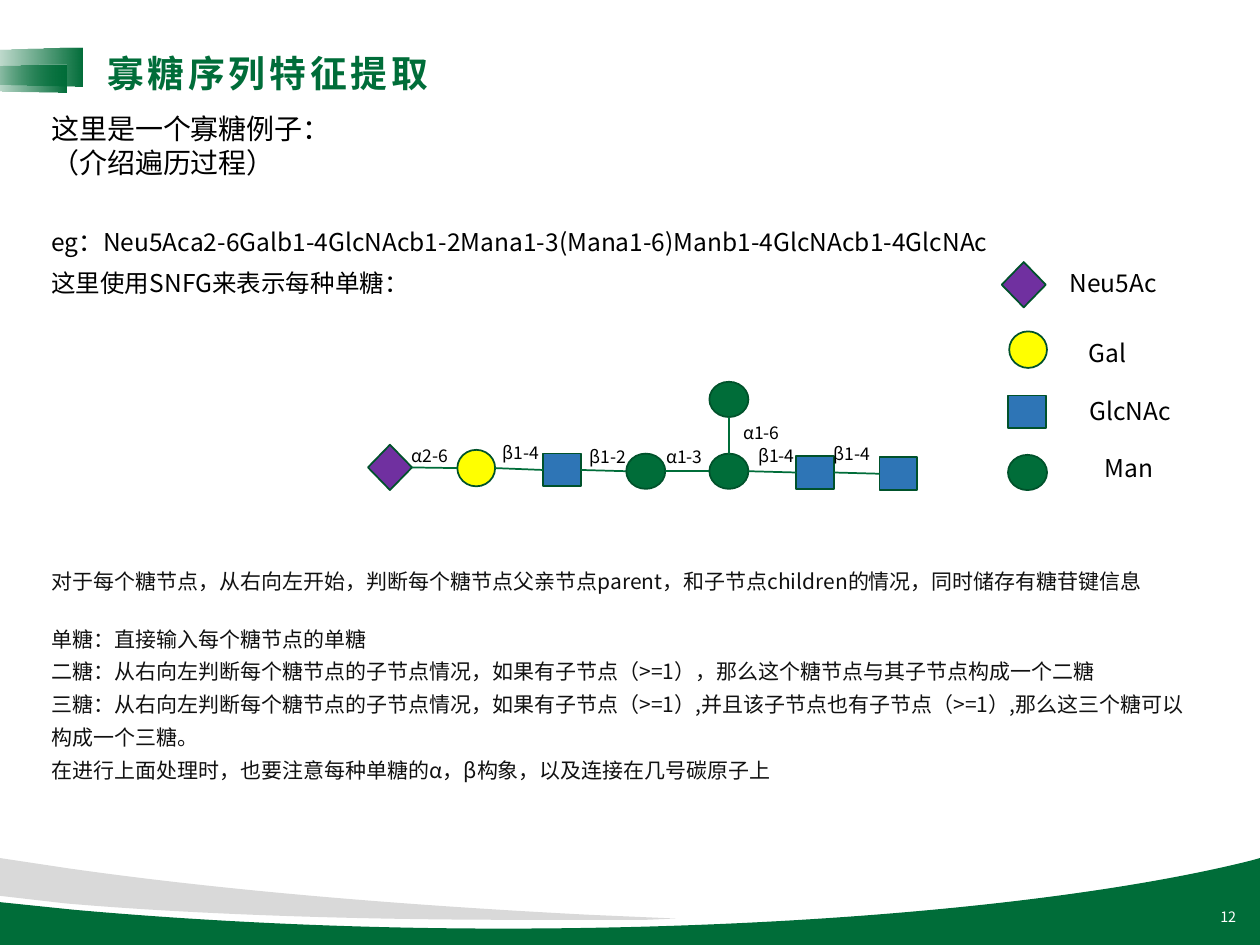
import lxml.etree
import pptx
import pptx.dml.color
import pptx.enum.shapes
import pptx.enum.text
import pptx.oxml.ns
import pptx.util

Inches = pptx.util.Inches
SHAPE = pptx.enum.shapes.MSO_SHAPE
ANCHOR = pptx.enum.text.MSO_ANCHOR
ALIGN = pptx.enum.text.PP_ALIGN
AUTO_SIZE = pptx.enum.text.MSO_AUTO_SIZE

FONT = "Noto Sans CJK SC"
GREEN = "006D39"
OUTLINE = "00522B"

# preset, width, height, fill
SUGARS = {
    "Neu5Ac": (SHAPE.DIAMOND, 0.35, 0.36, "7030A0"),
    "Gal": (SHAPE.OVAL, 0.3, 0.29, "FFFF00"),
    "GlcNAc": (SHAPE.RECTANGLE, 0.3, 0.26, "2E75B6"),
    "Man": (SHAPE.OVAL, 0.31, 0.28, GREEN),
}
CHAIN = [
    ("Neu5Ac", 2.92, 3.53), ("Gal", 3.63, 3.57), ("GlcNAc", 4.31, 3.6),
    ("Man", 4.97, 3.6), ("Man", 5.63, 3.6), ("GlcNAc", 6.32, 3.62),
    ("GlcNAc", 6.98, 3.63),
]
BRANCH = ("Man", 5.63, 3.03)
BONDS = [
    ("α2-6", 3.17, 3.48), ("β1-4", 3.89, 3.46), ("β1-2", 4.58, 3.49),
    ("α1-3", 5.19, 3.49), ("α1-6", 5.8, 3.3), ("β1-4", 5.92, 3.48),
    ("β1-4", 6.52, 3.47),
]
# sugar, symbol left and top, name left, top and width
LEGEND = [
    ("Neu5Ac", 7.95, 2.08, 8.39, 2.08, 1.16),
    ("Gal", 8.01, 2.63, 8.54, 2.63, 0.68),
    ("GlcNAc", 8, 3.14, 8.55, 3.09, 1.07),
    ("Man", 8, 3.61, 8.67, 3.55, 0.6),
]
INTRO = [
    (["这里是一个寡糖例子：", "（介绍遍历过程）"], 0.84, 7.71, 0.64, 16),
    (["eg：Neu5Aca2-6Galb1-4GlcNAcb1-2Mana1-3(Mana1-6)Manb1-4GlcNAcb1-4GlcNAc"],
     1.75, 8.57, 0.34, 14),
    (["这里使用SNFG来表示每种单糖："], 2.08, 5, 0.34, 14),
]
EXPLANATION = [
    "对于每个糖节点，从右向左开始，判断每个糖节点父亲节点parent，和子节点children的情况，同时储存有糖苷键信息",
    "单糖：直接输入每个糖节点的单糖",
    "二糖：从右向左判断每个糖节点的子节点情况，如果有子节点（>=1），那么这个糖节点与其子节点构成一个二糖",
    "三糖：从右向左判断每个糖节点的子节点情况，如果有子节点（>=1）,并且该子节点也有子节点（>=1）,那么这三个糖可以构成一个三糖。",
    "在进行上面处理时，也要注意每种单糖的α，β构象，以及连接在几号碳原子上",
]
# Outlines: two numbers are a corner, six numbers are a cubic curve
GREEN_WAVE = [
    (10, 6.81), (10, 7.5), (0, 7.5), (0, 7.16), (0.58, 7.22),
    (1.59, 7.31, 2.76, 7.37, 3.99, 7.37), (6.47, 7.37, 8.65, 7.15, 9.93, 6.83),
]
GREY_WAVE = [
    (0, 6.81), (0.53, 6.89), (1.72, 7.06, 3.12, 7.18, 4.67, 7.26),
    (5.36, 7.29), (5.13, 7.3), (4.8, 7.3, 4.46, 7.3, 4.11, 7.3),
    (2.71, 7.3, 1.44, 7.25, 0.52, 7.17), (0, 7.11),
]


def rgb(value):
    return pptx.dml.color.RGBColor.from_string(value)


def sub(parent, tag, **attributes):
    return lxml.etree.SubElement(parent, pptx.oxml.ns.qn(tag), **attributes)


def set_all(target, values):
    for name, value in values.items():
        setattr(target, name, value)


def place(shape, left, top, width, height):
    set_all(shape, {"left": Inches(left), "top": Inches(top),
                    "width": Inches(width), "height": Inches(height)})


def write(frame, lines, size, color="000000", bold=False,
          align=ALIGN.LEFT, anchor=ANCHOR.TOP, auto_size=AUTO_SIZE.SHAPE_TO_FIT_TEXT):
    set_all(frame, {"word_wrap": True, "vertical_anchor": anchor, "auto_size": auto_size})
    for index, line in enumerate(lines):
        paragraph = frame.paragraphs[0] if index == 0 else frame.add_paragraph()
        paragraph.alignment = align
        run = paragraph.add_run()
        run.text = line
        set_all(run.font, {"name": FONT, "size": pptx.util.Pt(size), "bold": bold})
        run.font.color.rgb = rgb(color)
        sub(run.font._element, "a:ea", typeface=FONT)


def add_text(slide, lines, left, top, width, height, size, **options):
    box = slide.shapes.add_textbox(*map(Inches, (left, top, width, height)))
    write(box.text_frame, lines, size, **options)


def add_wave(slide, outline, color):
    """Draw a closed outline, then bend the segments that are cubic curves."""
    steps = [tuple(map(Inches, step)) for step in outline]
    builder = slide.shapes.build_freeform(*steps[0])
    builder.add_line_segments([step[-2:] for step in steps[1:]], close=True)
    wave = builder.convert_to_shape()
    segments = list(wave._element.iter(pptx.oxml.ns.qn("a:lnTo")))
    for segment, step in zip(segments, steps[1:]):
        if len(step) == 6:
            segment.addprevious(curve := sub(segment.getparent(), "a:cubicBezTo"))
            for x, y in zip(step[::2], step[1::2]):
                sub(curve, "a:pt", x=str(x - wave.left), y=str(y - wave.top))
            segment.getparent().remove(segment)
    wave.shadow.inherit = False
    wave.fill.solid()
    wave.fill.fore_color.rgb = rgb(color)
    wave.line.fill.background()


def add_fading_tab(slide, left, top, width, height):
    tab = slide.shapes.add_shape(SHAPE.TRAPEZOID, *map(Inches, (left, top, width, height)))
    tab.shadow.inherit = False
    tab.rotation = 270
    tab.adjustments[0] = 0.07
    tab.line.fill.background()
    tab.fill.gradient()
    tab.fill.gradient_angle = 270
    for stop, position in zip(tab.fill.gradient_stops, (0, 1)):
        stop.color.rgb = rgb(GREEN)
        stop.position = position
    clear = next(tab._element.spPr.iter(pptx.oxml.ns.qn("a:srgbClr")))
    sub(clear, "a:alpha", val="0")


def add_sugar(slide, name, left, top):
    preset, width, height, color = SUGARS[name]
    sugar = slide.shapes.add_shape(preset, *map(Inches, (left, top, width, height)))
    sugar.shadow.inherit = False
    sugar.fill.solid()
    sugar.fill.fore_color.rgb = rgb(color)
    sugar.line.color.rgb = rgb(OUTLINE)
    sugar.line.width = pptx.util.Pt(1)
    return sugar


def add_bond(slide, x1, y1, x2, y2):
    bond = slide.shapes.add_connector(
        pptx.enum.shapes.MSO_CONNECTOR.STRAIGHT, x1, y1, x2, y2)
    bond.line.color.rgb = rgb(GREEN)
    bond.line.width = pptx.util.Pt(1)
    sub(bond._element.spPr, "a:effectLst")
    return bond


def bond_sideways(slide, child, parent):
    bond = add_bond(slide, child.left + child.width, child.top + child.height // 2,
                    parent.left, parent.top + parent.height // 2)
    if child.auto_shape_type != SHAPE.OVAL:
        bond.begin_connect(child, 3)
    if parent.auto_shape_type != SHAPE.OVAL:
        bond.end_connect(parent, 1)


def add_glycan(slide):
    chain = [add_sugar(slide, *sugar) for sugar in CHAIN]
    branch = add_sugar(slide, *BRANCH)
    middle = branch.left + branch.width // 2
    add_bond(slide, middle, branch.top + branch.height, middle, chain[4].top)
    for child, parent in zip(chain, chain[1:]):
        bond_sideways(slide, child, parent)
    for label, left, top in BONDS:
        add_text(slide, [label], left, top, 0.57, 0.27, 10)


def add_legend(slide):
    for name, left, top, name_left, name_top, name_width in LEGEND:
        add_sugar(slide, name, left, top)
        add_text(slide, [name], name_left, name_top, name_width, 0.34, 14)


def fill_title(title):
    place(title, 0.75, 0.35, 4.37, 0.45)
    write(title.text_frame, ["寡糖序列特征提取"], 21, color=GREEN, bold=True)
    title.text_frame.paragraphs[0].runs[0].font._element.set("spc", "220")


def fill_explanation(body):
    place(body, 0.31, 4.46, 9.23, 2.02)
    write(body.text_frame, EXPLANATION, 12, color="111111", auto_size=AUTO_SIZE.NONE)
    for index, paragraph in enumerate(body.text_frame.paragraphs):
        set_all(paragraph, {"space_before": pptx.util.Pt(14.4 if index == 1 else 0),
                            "line_spacing": 1.3 if index else 1.0})
        properties = paragraph._element.get_or_add_pPr()
        properties.set("marL", "0")
        properties.set("indent", "0")
        sub(properties, "a:buNone")


def main():
    presentation = pptx.Presentation()
    set_all(presentation, {"slide_width": Inches(10), "slide_height": Inches(7.5)})
    slide = presentation.slides.add_slide(presentation.slide_layouts[1])
    add_wave(slide, GREEN_WAVE, GREEN)
    add_wave(slide, GREY_WAVE, "D9D9D9")
    add_fading_tab(slide, 0.06, 0.09, 0.31, 0.88)
    add_fading_tab(slide, 0.05, 0.26, 0.22, 0.73)
    fill_title(slide.shapes.title)
    add_text(slide, ["12"], 7.66, 7.08, 2.25, 0.4, 8.2, color="FFFFFF",
             align=ALIGN.RIGHT, anchor=ANCHOR.MIDDLE, auto_size=AUTO_SIZE.NONE)
    for lines, top, width, height, size in INTRO:
        add_text(slide, lines, 0.31, top, width, height, size)
    add_glycan(slide)
    fill_explanation(slide.placeholders[1])
    add_legend(slide)
    presentation.save("out.pptx")


if __name__ == "__main__":
    main()
